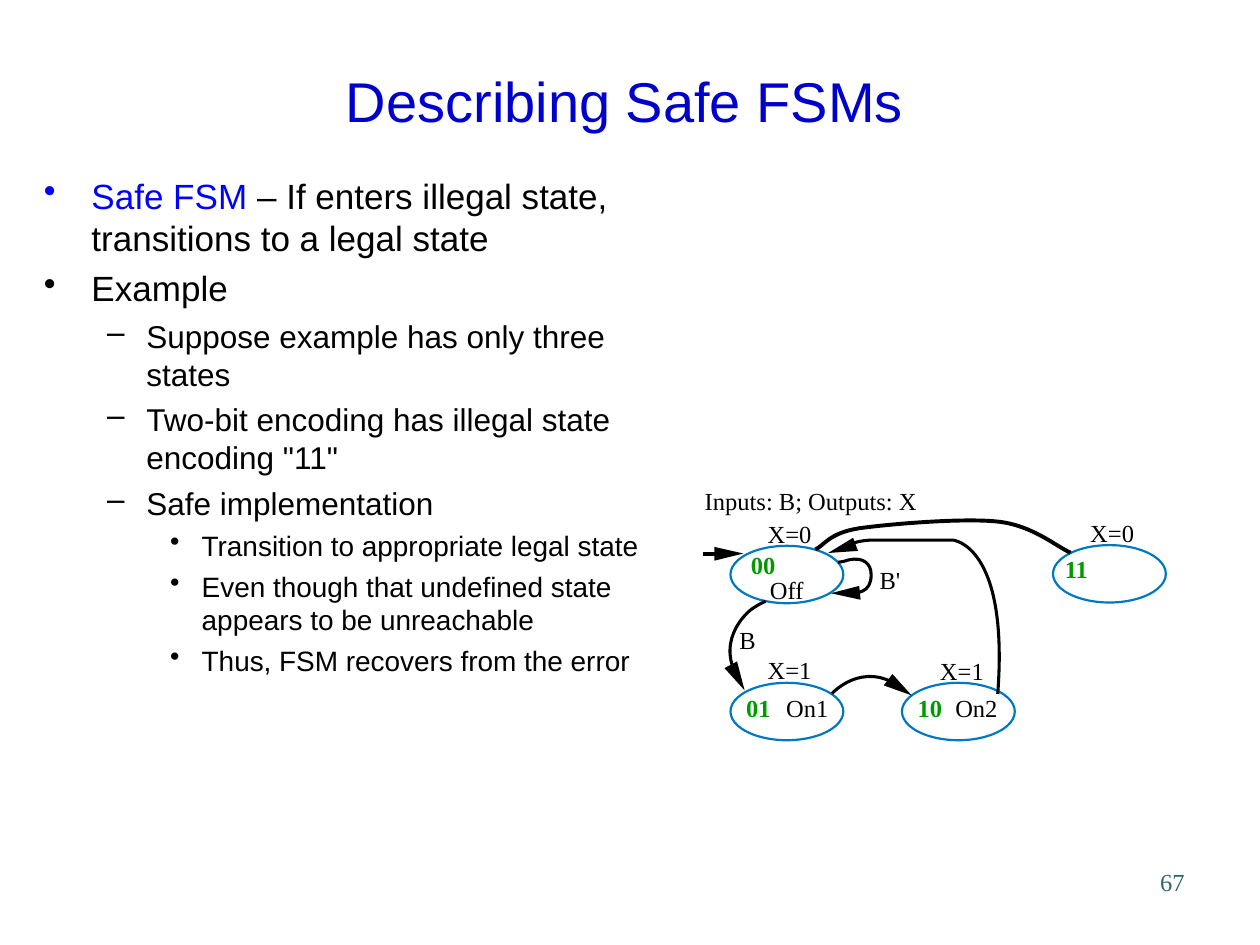
import pptx
import pptx.util
import pptx.dml.color
import pptx.enum.shapes
import pptx.enum.text
import lxml.etree

Pt = pptx.util.Pt
ALIGN = pptx.enum.text.PP_ALIGN
NS = "{http://schemas.openxmlformats.org/drawingml/2006/main}"


def rgb(value):
    return pptx.dml.color.RGBColor.from_string(value)


def add_text(x, y, w, h, text, size, color, font="Times New Roman", align=ALIGN.LEFT, margin=(0, 0)):
    tf = s.shapes.add_textbox(Pt(x), Pt(y), Pt(w), Pt(h)).text_frame
    tf.margin_left = tf.margin_right = Pt(margin[0])
    tf.margin_top = tf.margin_bottom = Pt(margin[1])
    tf.word_wrap = margin[0] > 0
    p = tf.paragraphs[0]
    p.text = text
    p.alignment = align
    p.font.size, p.font.name = Pt(size), font
    p.font.color.rgb = rgb(color)
    return tf


prs = pptx.Presentation()
prs.slide_width, prs.slide_height = Pt(720), Pt(540)
s = prs.slides.add_slide(prs.slide_layouts[6])

add_text(534.2, 491.8, 149.8, 36, "67", 14, "336666", align=ALIGN.RIGHT, margin=(7.2, 3.6))
title = add_text(18, 24, 678, 66, "Describing Safe FSMs", 32, "0000CC", "Arial", ALIGN.CENTER, (7.2, 3.6))
title.vertical_anchor = pptx.enum.text.MSO_ANCHOR.MIDDLE

levels = [(20, 27.2, 27.2, 5, "•"), (18, 58.6, 22.5, 4.5, "–"), (16, 90.2, 18, 4, "•")]
body = [
    (0, [("Safe FSM ", "0000FF"), ("– If enters illegal state, transitions to a legal state", "000000")]),
    (0, [("Example", "000000")]),
    (1, [("Suppose example has only three states", "000000")]),
    (1, [("Two-bit encoding has illegal state encoding \"11\"", "000000")]),
    (1, [("Safe implementation", "000000")]),
    (2, [("Transition to appropriate legal state", "000000")]),
    (2, [("Even though that undefined state appears to be unreachable", "000000")]),
    (2, [("Thus, FSM recovers from the error", "000000")]),
]
tf = s.shapes.add_textbox(Pt(18), Pt(96), Pt(379), Pt(396.5)).text_frame
tf.word_wrap = True
for i, (level, runs) in enumerate(body):
    size, left, hang, before, bullet = levels[level]
    p = tf.paragraphs[0] if i == 0 else tf.add_paragraph()
    p.level = level
    p.space_before = Pt(before)
    p.font.size, p.font.name = Pt(size), "Arial"
    for text, color in runs:
        r = p.add_run()
        r.text = text
        r.font.color.rgb = rgb(color)
    pPr = p._p.get_or_add_pPr()
    pPr.set("marL", str(Pt(left)))
    pPr.set("indent", str(-Pt(hang)))
    buClr = lxml.etree.Element(NS + "buClr")
    lxml.etree.SubElement(buClr, NS + "srgbClr", val=runs[0][1])
    buChar = lxml.etree.Element(NS + "buChar", char=bullet)
    at = pPr.index(pPr.find(NS + "spcBef")) + 1
    pPr.insert(at, buClr)
    pPr.insert(at + 1, buChar)

for x, y in [(417.4, 311.9), (417.4, 390.2), (515.4, 390.2), (601.7, 311.5)]:
    state = s.shapes.add_shape(pptx.enum.shapes.MSO_SHAPE.OVAL, Pt(x), Pt(y), Pt(64.5), Pt(32.8))
    state.shadow.inherit = False
    state.fill.background()
    state.line.color.rgb = rgb("0078C1")
    state.line.width = Pt(1.25)

curves = [
    (1.75, [(475.4, 396.4), (475.4, 396.4), (492.5, 377.3), (514, 392.4)]),
    (1.75, [(421.4, 387), (408.5, 364.2), (429, 348.5), (429, 348.5), (429, 348.5), (433.5, 345.2), (437.5, 343.6)]),
    (1.75, [(479, 321.3), (481, 321.3), (483, 320.5), (484.8, 320), (493.9, 318), (497.8, 322.5), (497.8, 328.5),
            (497.8, 338.8), (490.3, 339.3), (481.7, 339.3)]),
    (1.75, [(484, 312.3), (486.7, 310.3), (491.8, 308.6), (499.5, 308.6), (544.5, 308.6), (544.5, 308.6),
            (544.5, 308.6), (544.5, 308.6), (576.7, 311), (570.2, 396.5)]),
    (2.25, [(611.8, 315.8), (604.8, 313.2), (590.4, 300.2), (570.3, 298.1), (550.1, 295.9), (508.3, 299.5),
            (491, 301.9), (473.8, 304.6), (470.9, 311.8), (466, 314)]),
]
for width, pts in curves:
    hundredths = [(round(x * 100), round(y * 100)) for x, y in pts]
    fb = s.shapes.build_freeform(*hundredths[0], scale=Pt(0.01))
    fb.add_line_segments(hundredths[1:], close=False)
    sp = fb.convert_to_shape()
    sp.shadow.inherit = False
    sp.fill.background()
    sp.line.color.rgb = rgb("000000")
    sp.line.width = Pt(width)
    segments = list(sp._element.iter(NS + "lnTo"))
    outline = segments[0].getparent()
    for k in range(0, len(segments), 3):
        bezier = lxml.etree.SubElement(outline, NS + "cubicBezTo")
        for segment in segments[k:k + 3]:
            bezier.append(segment[0])
            outline.remove(segment)

start = s.shapes.add_connector(pptx.enum.shapes.MSO_CONNECTOR.STRAIGHT, Pt(401.8), Pt(316.6), Pt(413.3), Pt(316.6))
start.line.color.rgb = rgb("000000")
start.line.width = Pt(1.75)
lxml.etree.SubElement(start._element.spPr, NS + "effectLst")

arrowheads = [
    [(424.8, 316.3), (408.2, 312.5), (408.2, 320.4)],
    [(521, 397.4), (510, 385.2), (505, 391.7)],
    [(474.8, 339), (491.8, 342.7), (491, 334.8)],
    [(473.2, 316), (490.3, 314.8), (487.5, 307.3)],
    [(425.5, 394.5), (414, 381.8), (421.2, 378)],
]
for pts in arrowheads:
    hundredths = [(round(x * 100), round(y * 100)) for x, y in pts]
    fb = s.shapes.build_freeform(*hundredths[0], scale=Pt(0.01))
    fb.add_line_segments(hundredths[1:], close=True)
    sp = fb.convert_to_shape()
    sp.shadow.inherit = False
    sp.fill.solid()
    sp.fill.fore_color.rgb = rgb("000000")
    sp.line.fill.background()

labels = [
    ("Inputs: B; Outputs: X", 402.7, 277.9, 121.7),
    ("X=0", 438.6, 296.6, 25.2), ("X=0", 623, 295.9, 25.2),
    ("X=1", 438.6, 374.4, 25.2), ("X=1", 537.1, 375.1, 25.2),
    ("B", 422.6, 357.1, 9.4), ("B'", 502.6, 322.6, 12.2),
    ("Off", 439.9, 328.5, 21), ("On1", 449.3, 396, 24.5), ("On2", 545.9, 396, 24.5),
]
for text, x, y, w in labels:
    add_text(x, y, w, 16.6, text, 14, "000000")
for text, x, y in [("00", 429.1, 314.6), ("01", 426.4, 396), ("10", 524.4, 396), ("11", 608.5, 316.8)]:
    code = add_text(x, y, 14.4, 16.6, text, 14, "009900")
    code.paragraphs[0].font.bold = True

prs.save("out.pptx")
